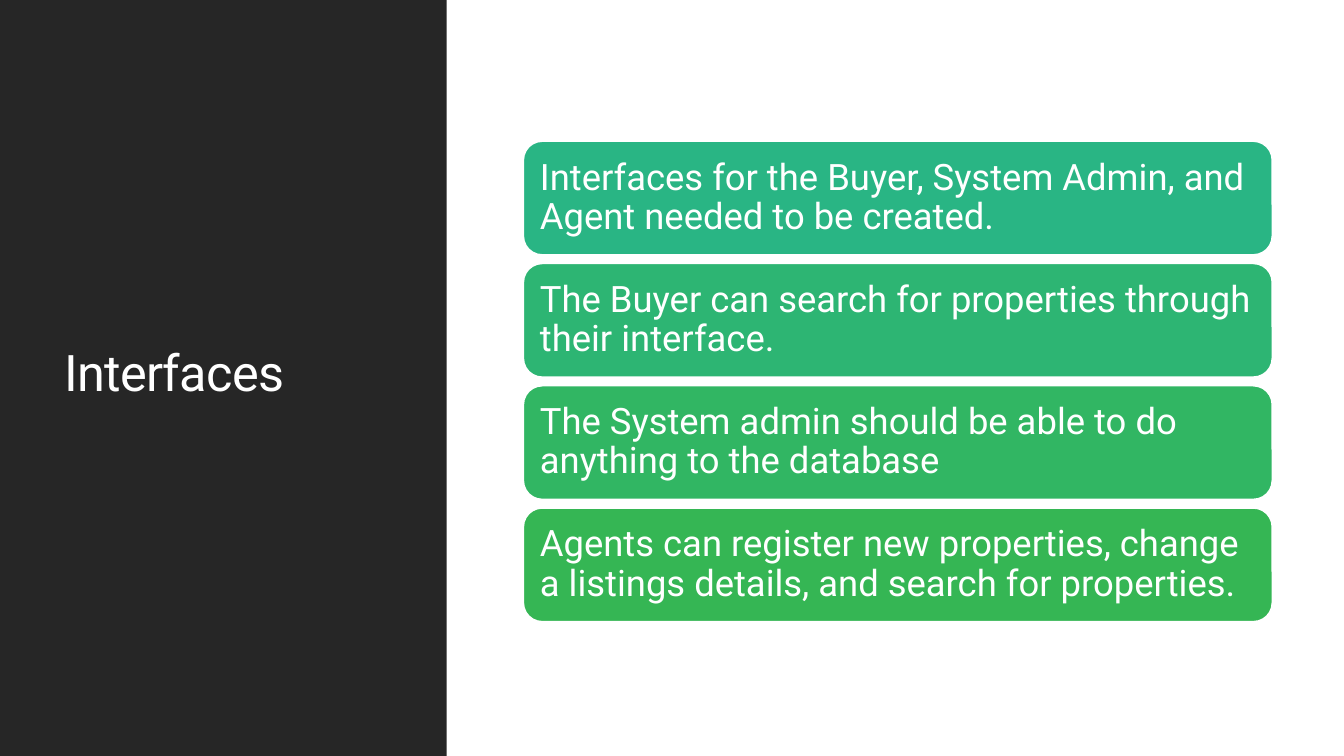
from dataclasses import dataclass

from pptx import Presentation
from pptx.dml.color import RGBColor
from pptx.enum import shapes, text
from pptx.util import Inches, Pt


@dataclass(frozen=True)
class Theme:
    font: str = "Roboto"
    dark: str = "262626"
    white: str = "FFFFFF"
    title_size: float = 36
    card_size: float = 26
    outline: float = 1.25


@dataclass(frozen=True)
class Card:
    wording: str
    fill: str


THEME = Theme()
CARDS = [
    Card("Interfaces for the Buyer, System Admin, and Agent needed to be created.", "29B584"),
    Card("The Buyer can search for properties through their interface.", "2DB573"),
    Card("The System admin should be able to do anything to the database", "31B663"),
    Card("Agents can register new properties, change a listings details, "
         "and search for properties.", "35B654"),
]
CARD_LEFT, CARD_TOP = Inches(5.19), Inches(1.4)
CARD_WIDTH, CARD_HEIGHT = Inches(7.43), Inches(1.13)
CARD_STEP = Inches(1.213)
CARD_INSET = Inches(0.11)


def add_filled(s, kind, left, top, width, height, fill: str):
    """Add a flat preset shape without an outline."""
    sp = s.shapes.add_shape(kind, left, top, width, height)
    sp.shadow.inherit = False
    sp.fill.solid()
    sp.fill.fore_color.rgb = RGBColor.from_string(fill)
    sp.line.fill.background()
    return sp


def write(sp, wording: str, size: float):
    """Write one left-aligned, vertically centred paragraph and return its run."""
    tf = sp.text_frame
    tf.word_wrap = True
    tf.vertical_anchor = text.MSO_ANCHOR.MIDDLE
    p = tf.paragraphs[0]
    p.alignment = text.PP_ALIGN.LEFT
    p.line_spacing = 0.9
    r = p.add_run()
    r.text = wording
    r.font.name = THEME.font
    r.font.size = Pt(size)
    r.font.color.rgb = RGBColor.from_string(THEME.white)
    return r


def add_card(s, card: Card, top: int) -> None:
    sp = add_filled(s, shapes.MSO_SHAPE.ROUNDED_RECTANGLE,
                    CARD_LEFT, top, CARD_WIDTH, CARD_HEIGHT, card.fill)
    sp.line.color.rgb = RGBColor.from_string(THEME.white)
    sp.line.width = Pt(THEME.outline)
    tf = sp.text_frame
    tf.margin_left = tf.margin_right = tf.margin_top = tf.margin_bottom = CARD_INSET
    write(sp, card.wording, THEME.card_size)


prs = Presentation()
prs.slide_width, prs.slide_height = Inches(13.33), Inches(7.5)
s = prs.slides.add_slide(prs.slide_layouts[6])

# Dark side panel with the title
add_filled(s, shapes.MSO_SHAPE.RECTANGLE, 0, 0, Inches(4.43), prs.slide_height, THEME.dark)
title = s.shapes.add_textbox(Inches(0.54), Inches(0.57), Inches(3.37), Inches(6.31))
r = write(title, "Interfaces", THEME.title_size)
r.font._element.set("spc", "-50")

# Stack of cards
for i, card in enumerate(CARDS):
    add_card(s, card, CARD_TOP + i * CARD_STEP)

prs.save("out.pptx")
